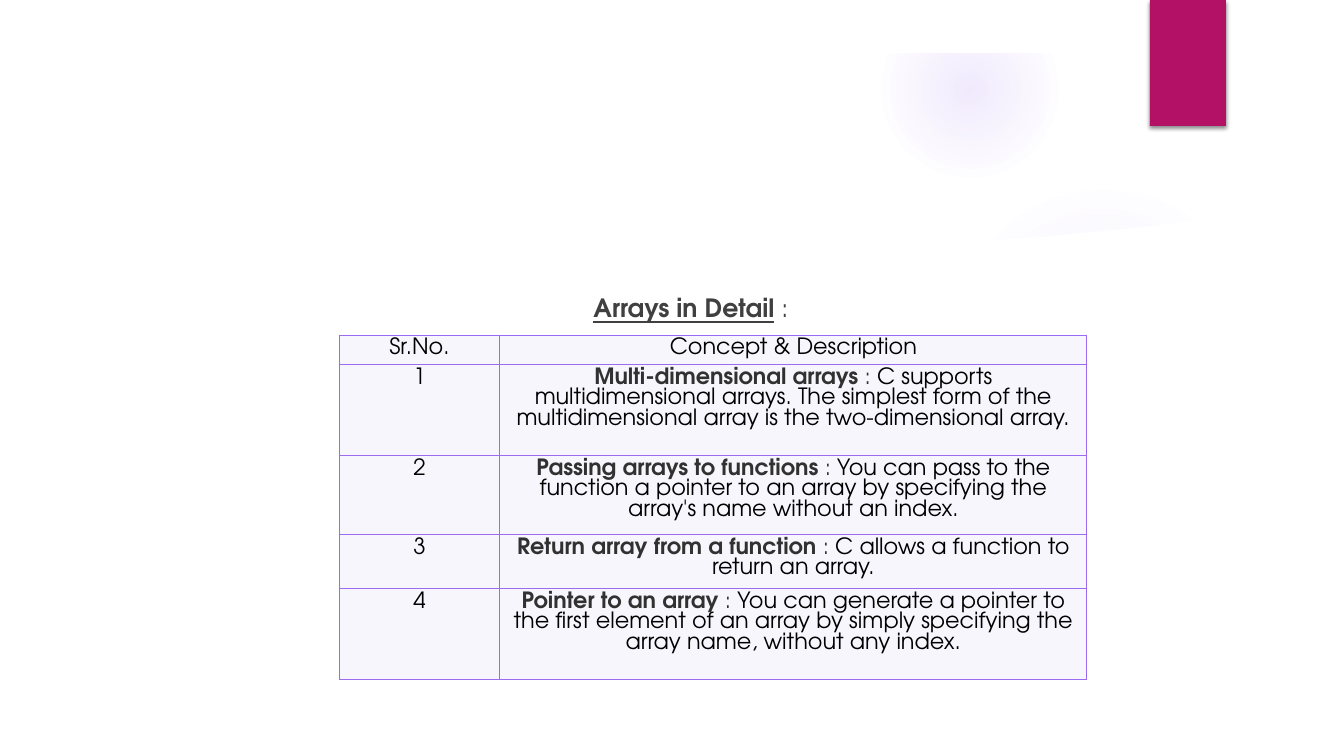
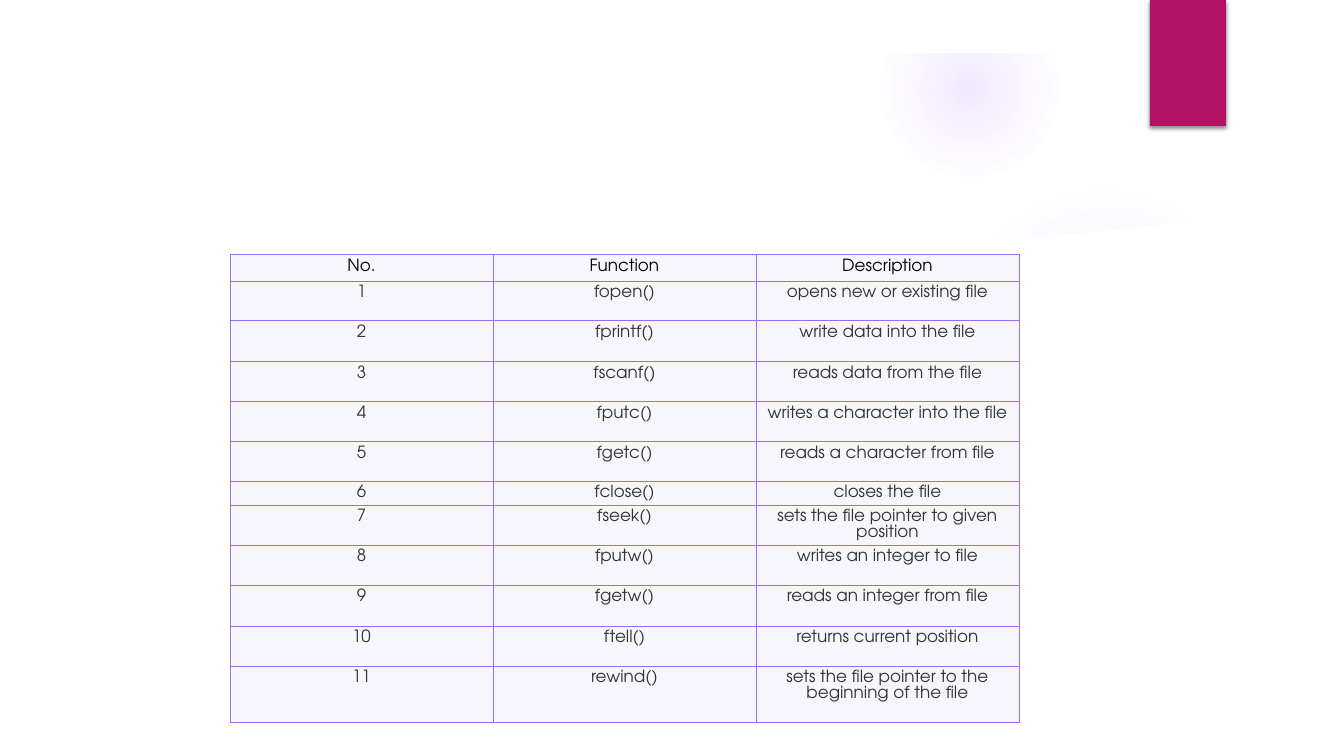
import dataclasses

import pptx
import pptx.dml.color
import pptx.enum.shapes
import pptx.enum.text
import pptx.oxml
import pptx.oxml.ns
import pptx.util

SCALE = 914400 / 100.8
SLIDE_WIDTH, SLIDE_HEIGHT = 1344, 756


@dataclasses.dataclass(frozen=True)
class Theme:
    font: str = "TeX Gyre Adventor"
    white: str = "FFFFFF"
    black: str = "000000"
    accent: str = "B31166"
    violet: str = "9B6BF2"
    cell: str = "F7F6FD"
    title: str = "404040"
    term: str = "313131"
    body: str = "333333"
    title_size: int = 18
    concept_size: int = 16
    function_size: int = 12
    concept_leading: float = 14.8
    function_leading: float = 11
    border: float = 0.75


THEME = Theme()
SHAPES = pptx.enum.shapes.MSO_SHAPE
CENTER = pptx.enum.text.PP_ALIGN.CENTER

PANEL = [
    (50, 206), (50, 706), (1294, 706), (1294, 206), (1210, 219), (1125, 229),
    (1040, 237), (957, 243), (874, 247), (740, 250), (612, 249), (492, 245),
    (404, 240), (285, 232), (160, 220),
]
SHEEN = [
    (941, 252), (1111, 240), (1299, 216), (1293, 167), (1187, 200),
    (1084, 223), (1007, 236), (937, 245),
]

CONCEPTS = [
    ("Multi-dimensional arrays ",
     "C supports multidimensional arrays. The simplest form of the "
     "multidimensional array is the two-dimensional array."),
    ("Passing arrays to functions ",
     "You can pass to the function a pointer to an array by specifying the "
     "array's name without an index."),
    ("Return array from a function ",
     "C allows a function to return an array."),
    ("Pointer to an array ",
     "You can generate a pointer to the first element of an array by simply "
     "specifying the array name, without any index."),
]
FUNCTIONS = [
    ("fopen()", "opens new or existing file"),
    ("fprintf()", "write data into the file"),
    ("fscanf()", "reads data from the file"),
    ("fputc()", "writes a character into the file"),
    ("fgetc()", "reads a character from file"),
    ("fclose()", "closes the file"),
    ("fseek()", "sets the file pointer to given position"),
    ("fputw()", "writes an integer to file"),
    ("fgetw()", "reads an integer from file"),
    ("ftell()", "returns current position"),
    ("rewind()", "sets the file pointer to the beginning of the file"),
]


def px(length):
    return pptx.util.Emu(round(length * SCALE))


def rgb(color):
    return pptx.dml.color.RGBColor.from_string(color)


def xml(tag, content, attributes=""):
    namespace = pptx.oxml.ns.nsdecls("a")
    return pptx.oxml.parse_xml(f"<a:{tag} {namespace} {attributes}>{content}</a:{tag}>")


def color_xml(color, opacity):
    return f'<a:srgbClr val="{color}"><a:alpha val="{opacity * 1000}"/></a:srgbClr>'


def paint(shape, color):
    shape.shadow.inherit = False
    shape.line.fill.background()
    shape.fill.solid()
    shape.fill.fore_color.rgb = rgb(color)


def add_shape(slide, kind, box, color):
    shape = slide.shapes.add_shape(kind, *map(px, box))
    paint(shape, color)
    return shape


def add_outline(slide, points, color):
    builder = slide.shapes.build_freeform(*points[0], scale=SCALE)
    builder.add_line_segments(points[1:])
    shape = builder.convert_to_shape()
    paint(shape, color)
    return shape


def replace_fill(shape, fill):
    properties = shape._element.spPr
    solid = properties.find(pptx.oxml.ns.qn("a:solidFill"))
    properties.replace(solid, fill)


def add_glow(slide, left, top, diameter, stops):
    glow = add_shape(slide, SHAPES.OVAL, (left, top, diameter, diameter), THEME.violet)
    stop_list = "".join(
        f'<a:gs pos="{position * 1000}">{color_xml(THEME.violet, opacity)}</a:gs>'
        for position, opacity in stops
    )
    center = '<a:fillToRect l="50000" t="50000" r="50000" b="50000"/>'
    replace_fill(glow, xml(
        "gradFill",
        f'<a:gsLst>{stop_list}</a:gsLst><a:path path="circle">{center}</a:path>',
    ))


def add_tab(slide):
    tab = add_shape(slide, SHAPES.RECTANGLE, (1150, 0, 76, 126), THEME.accent)
    effects = tab._element.spPr.find(pptx.oxml.ns.qn("a:effectLst"))
    effects.append(xml(
        "outerShdw", color_xml(THEME.black, 45),
        'blurRad="38100" dist="25400" dir="5400000" rotWithShape="0"',
    ))


def add_backdrop(slide):
    add_glow(slide, 949, 184, 310, [(0, 7), (36, 6), (69, 0)])
    add_glow(slide, 882, 1, 176, [(0, 14), (36, 7), (73, 0)])
    sheen = add_outline(slide, SHEEN, THEME.white)
    replace_fill(sheen, xml("solidFill", color_xml(THEME.white, 20)))
    add_outline(slide, PANEL, THEME.white)
    frame = add_shape(slide, SHAPES.FRAME, (0, 0, SLIDE_WIDTH, SLIDE_HEIGHT), THEME.white)
    frame.adjustments[0] = 0.07
    add_tab(slide)


def write_runs(paragraph, runs, size):
    paragraph.alignment = CENTER
    for text, color, extra in runs:
        run = paragraph.add_run()
        run.text = text
        run.font.color.rgb = rgb(color)
        values = {"name": THEME.font, "size": pptx.util.Pt(size), **extra}
        for name, value in values.items():
            setattr(run.font, name, value)


def add_heading(slide, box, runs):
    frame = slide.shapes.add_textbox(*map(px, box)).text_frame
    frame.word_wrap = True
    write_runs(frame.paragraphs[0], runs, THEME.title_size)


def style_cell(cell, margin):
    for side in ("left", "right", "top", "bottom"):
        setattr(cell, f"margin_{side}", px(margin))
    properties = cell._tc.get_or_add_tcPr()
    for side in "LRTB":
        properties.append(xml(
            f"ln{side}",
            f'<a:solidFill><a:srgbClr val="{THEME.violet}"/></a:solidFill>',
            f'w="{pptx.util.Pt(THEME.border)}"',
        ))
    cell.fill.solid()
    cell.fill.fore_color.rgb = rgb(THEME.cell)


def add_grid(slide, left, top, widths, heights, rows, size, leading, margins):
    box = (left, top, sum(widths), sum(heights))
    table = slide.shapes.add_table(len(rows), len(widths), *map(px, box)).table
    table.first_row = table.horz_banding = False
    for column, width in zip(table.columns, widths):
        column.width = px(width)
    for row_index, (height, cells) in enumerate(zip(heights, rows)):
        table.rows[row_index].height = px(height)
        margin = margins[min(row_index, 1)]
        for column_index, runs in enumerate(cells):
            cell = table.cell(row_index, column_index)
            style_cell(cell, margin)
            paragraph = cell.text_frame.paragraphs[0]
            paragraph.line_spacing = pptx.util.Pt(leading)
            write_runs(paragraph, runs, size)


def plain_row(texts, color):
    return [[(text, color, {})] for text in texts]


def concept_row(number, term, description):
    return [
        [(str(number), THEME.black, {})],
        [(term, THEME.term, {"bold": True}),
         (": ", THEME.term, {}),
         (description, THEME.black, {})],
    ]


def add_slide(presentation):
    slide = presentation.slides.add_slide(presentation.slide_layouts[6])
    add_backdrop(slide)
    return slide


def build_arrays(presentation):
    slide = add_slide(presentation)
    add_heading(slide, (127, 287, 1128, 45), [
        ("Arrays in Detail", THEME.title, {"bold": True, "underline": True}),
        (" :", THEME.title, {}),
    ])
    rows = [plain_row(("Sr.No.", "Concept & Description"), THEME.black)]
    rows += [concept_row(number, *concept) for number, concept in enumerate(CONCEPTS, 1)]
    add_grid(slide, 339, 335, [161, 587], [30, 91, 79, 54, 91], rows,
             THEME.concept_size, THEME.concept_leading, (3, 3))


def build_file_functions(presentation):
    slide = add_slide(presentation)
    rows = [plain_row(("No.", "Function", "Description"), THEME.black)]
    rows += [
        plain_row((str(number), *function), THEME.body)
        for number, function in enumerate(FUNCTIONS, 1)
    ]
    heights = [27, 40, 41, 40, 40, 40, 24, 40, 40, 41, 40, 56]
    add_grid(slide, 230, 254, [263] * 3, heights, rows,
             THEME.function_size, THEME.function_leading, (5, 4))


def main():
    presentation = pptx.Presentation()
    presentation.slide_width = px(SLIDE_WIDTH)
    presentation.slide_height = px(SLIDE_HEIGHT)
    build_arrays(presentation)
    build_file_functions(presentation)
    presentation.save("out.pptx")


main()
